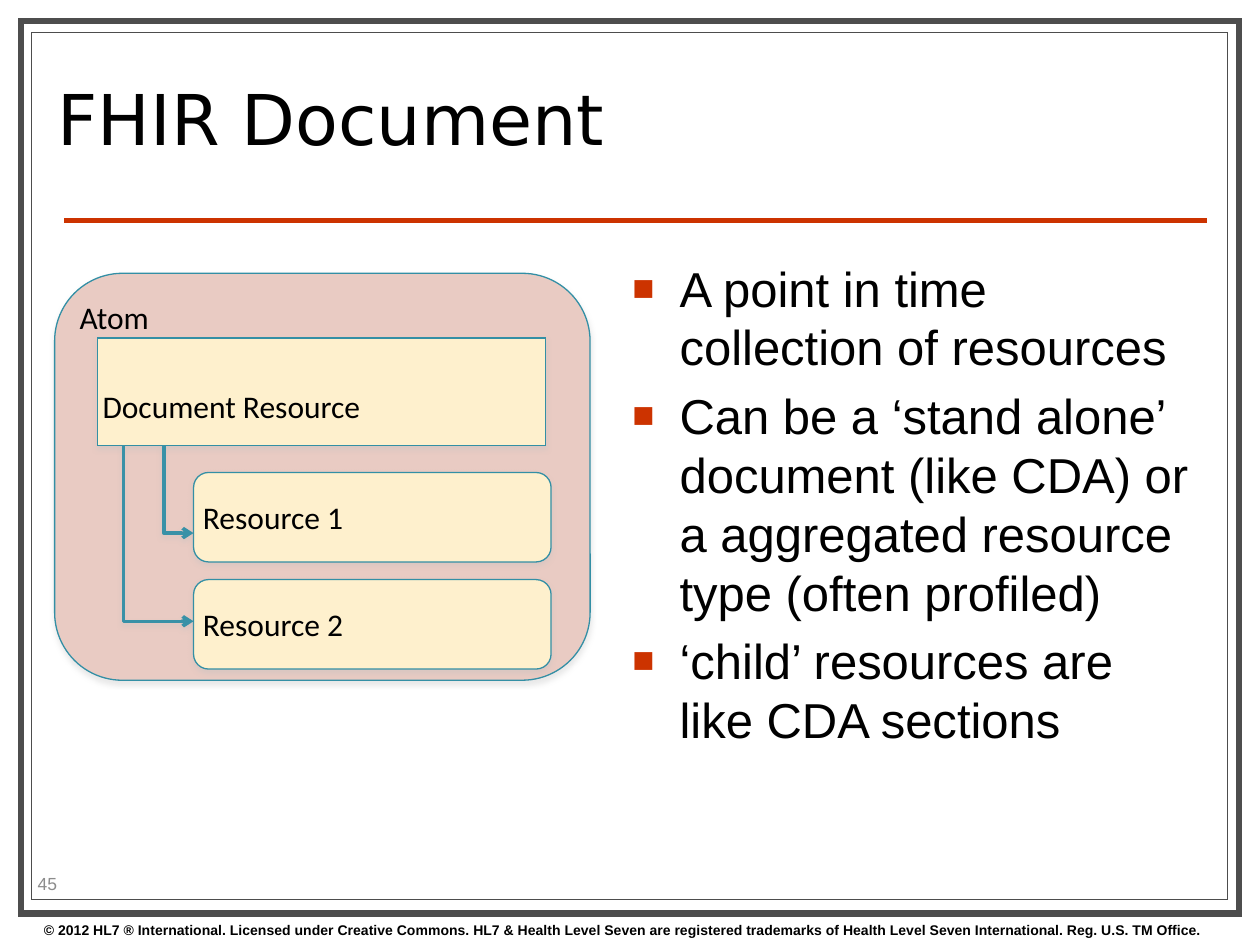
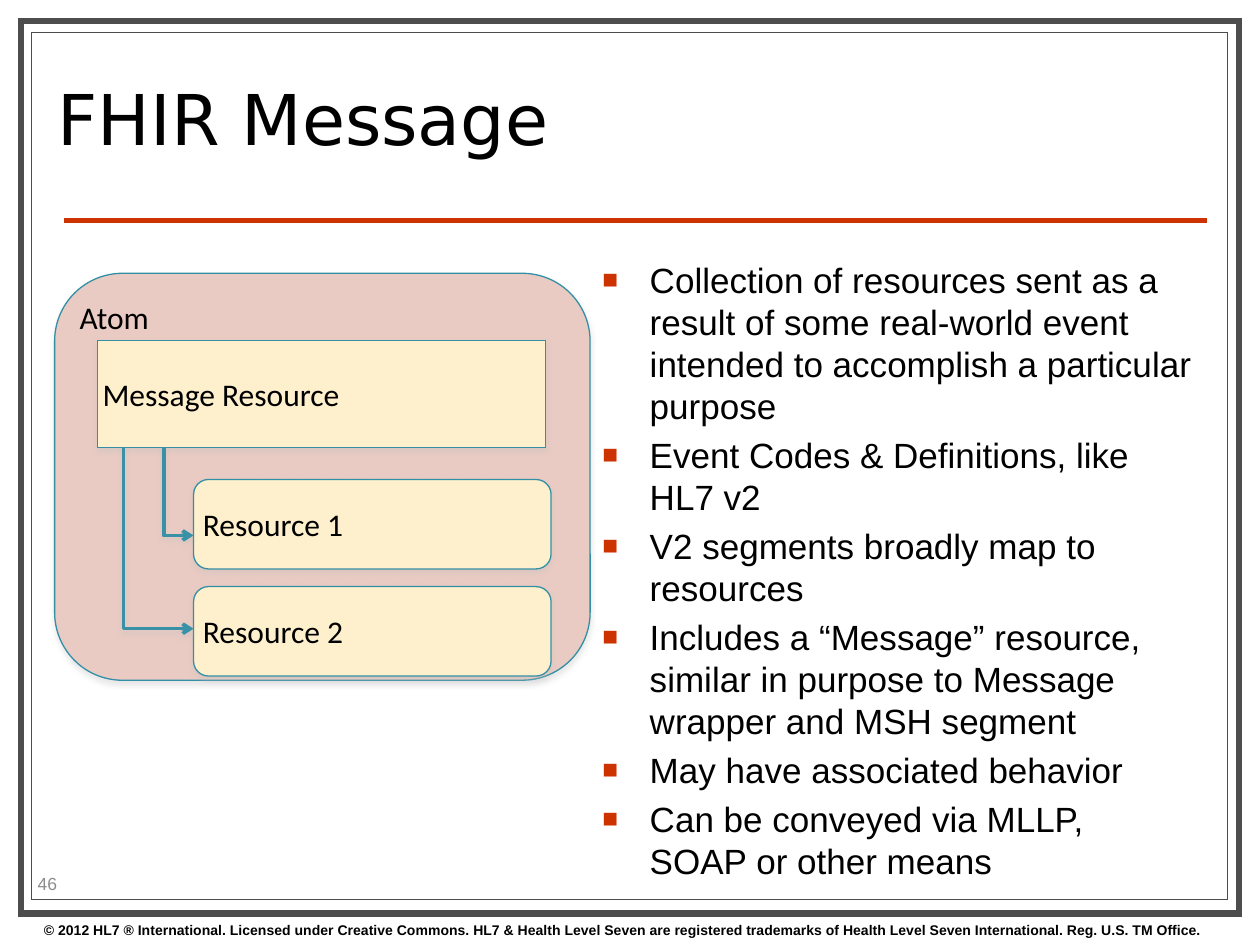
"""Build two slides that explain the FHIR document and message structures."""
from dataclasses import dataclass

from lxml import etree
from pptx import Presentation
from pptx.dml.color import RGBColor
from pptx.enum.shapes import MSO_CONNECTOR, MSO_SHAPE
from pptx.enum.text import MSO_ANCHOR, PP_ALIGN
from pptx.oxml.ns import qn
from pptx.util import Pt

RECT = MSO_SHAPE.RECTANGLE
ROUND = MSO_SHAPE.ROUNDED_RECTANGLE
STRAIGHT = MSO_CONNECTOR.STRAIGHT
TOP, MIDDLE = MSO_ANCHOR.TOP, MSO_ANCHOR.MIDDLE
LEFT = PP_ALIGN.LEFT


@dataclass(frozen=True)
class Theme:
    """Colours, fonts and type sizes."""
    paper: str = "FFFFFF"
    ink: str = "000000"
    frame: str = "4D4D4D"
    accent: str = "CC3300"
    muted: str = "8C8C8C"
    atom: str = "E9CBC3"
    resource: str = "FEF0CD"
    outline: str = "338FA5"
    arrow: str = "3891A7"
    shadow: str = "C0C0C0"
    title_font: str = "DejaVu Sans"
    body_font: str = "Arial"
    label_font: str = "Calibri"
    title_size: float = 40
    label_size: float = 18
    number_size: float = 10
    footer_size: float = 8


@dataclass(frozen=True)
class Box:
    """A place on the slide, in points."""
    left: float
    top: float
    width: float
    height: float

    def emu(self) -> tuple:
        """Return the four lengths for python-pptx."""
        return Pt(self.left), Pt(self.top), Pt(self.width), Pt(self.height)


@dataclass(frozen=True)
class Topic:
    """What differs from slide to slide."""
    title: str
    number: int
    root: str
    root_top: float
    root_inset: float
    child_top: float
    arrow_ends: tuple
    body_left: float
    body_size: float
    points: tuple


T = Theme()
FOOTER = ("© 2012 HL7 ® International. Licensed under Creative Commons. HL7 & Health Level Seven "
          "are registered trademarks of Health Level Seven International. Reg. U.S. TM Office.")
FRAMES = ((Box(12.24, 12.24, 696, 509.76), 3.5), (Box(18, 18.72, 683.28, 495.36), 0.75))
ATOM = Box(31.2, 156.2, 306, 232.56)
ROOT_LEFT, ROOT_WIDTH, ROOT_HEIGHT = 55.7, 256, 61.2
CHILD_LEFT, CHILD_WIDTH, CHILD_HEIGHT, CHILD_PITCH = 110.6, 204.3, 51.12, 61.2
CHILDREN = ("Resource 1", "Resource 2")
ARROW_STARTS = (93.6, 70.6)
BODY_RIGHT, BODY_TOP, BODY_HEIGHT = 690, 144, 352.8
INSET = 2.9
BULLET_INDENT = 27

TOPICS = (
    Topic("FHIR Document", 45, "Document Resource", 193.2, 19, 270, (304.6, 355), 354.24, 28, (
        "A point in time collection of resources",
        "Can be a ‘stand alone’ document (like CDA) or a aggregated resource type (often profiled)",
        "‘child’ resources are like CDA sections",
    )),
    Topic("FHIR Message", 46, "Message Resource", 194.4, INSET, 274, (306, 359.3), 337.2, 20, (
        "Collection of resources sent as a result of some real-world event intended to "
        "accomplish a particular purpose",
        "Event Codes & Definitions, like HL7 v2",
        "V2 segments broadly map to resources",
        "Includes a “Message” resource, similar in purpose to Message wrapper and MSH segment",
        "May have associated behavior",
        "Can be conveyed via MLLP,  SOAP or other means",
    )),
)


def rgb(value: str) -> RGBColor:
    """Turn a hex string into a colour."""
    return RGBColor.from_string(value)


def child(parent, tag: str, **attrs):
    """Append a DrawingML element with attributes."""
    return etree.SubElement(parent, qn(tag), {k: str(v) for k, v in attrs.items()})


def write(p, text: str, *, size: float, font: str = T.body_font, color: str = T.ink,
          bold: bool = False) -> None:
    """Add one formatted run to a paragraph."""
    r = p.add_run()
    r.text = text
    r.font.size, r.font.name, r.font.bold = Pt(size), font, bold
    r.font.color.rgb = rgb(color)


def add_text(s, box: Box, text: str = "", *, anchor=TOP, line_spacing: float = 1, **style):
    """Add a wrapping text box and return its text frame."""
    tf = s.shapes.add_textbox(*box.emu()).text_frame
    tf.word_wrap, tf.vertical_anchor = True, anchor
    if text:
        tf.paragraphs[0].line_spacing = line_spacing
        write(tf.paragraphs[0], text, **style)
    return tf


def set_shadow(sp, opacity: int) -> None:
    """Give a shape a soft shadow straight below it."""
    sp.shadow.inherit = False
    effects = sp._element.spPr.find(qn("a:effectLst"))
    shadow = child(effects, "a:outerShdw", blurRad=Pt(3), dist=Pt(1.8), dir=90 * 60000,
                   algn="ctr", rotWithShape=0)
    child(child(shadow, "a:srgbClr", val=T.shadow), "a:alpha", val=opacity * 1000)


def add_panel(s, box: Box, kind, fill: str, line: str, width: float = 0.75):
    """Add a filled shape with a sharp-cornered outline and no shadow."""
    sp = s.shapes.add_shape(kind, *box.emu())
    sp.shadow.inherit = False
    sp.fill.solid()
    sp.fill.fore_color.rgb = rgb(fill)
    sp.line.color.rgb = rgb(line)
    sp.line.width = Pt(width)
    child(sp.line._get_or_add_ln(), "a:miter", lim=800000)
    return sp


def add_node(s, box: Box, kind, fill: str, text: str, *, anchor=MIDDLE,
             top_inset: float = INSET) -> None:
    """Add a labelled block of the diagram."""
    sp = add_panel(s, box, kind, fill, T.outline)
    set_shadow(sp, 35)
    tf = sp.text_frame
    tf.word_wrap, tf.vertical_anchor = True, anchor
    tf.margin_left = tf.margin_right = tf.margin_bottom = Pt(INSET)
    tf.margin_top = Pt(top_inset)
    p = tf.paragraphs[0]
    p.alignment = LEFT
    write(p, text, size=T.label_size, font=T.label_font)


def add_elbow(s, x: float, top: float, end_y: float) -> None:
    """Draw an arrow down from the root and right to a child."""
    builder = s.shapes.build_freeform(Pt(x), Pt(top))
    builder.add_line_segments([(Pt(x), Pt(end_y)), (Pt(CHILD_LEFT), Pt(end_y))], close=False)
    sp = builder.convert_to_shape()
    sp.fill.background()
    sp.line.color.rgb = rgb(T.arrow)
    sp.line.width = Pt(2)
    child(sp.line._get_or_add_ln(), "a:tailEnd", type="arrow")
    set_shadow(sp, 38)


def add_frame(s, topic: Topic) -> None:
    """Draw the border, rule, footer, title and slide number."""
    for box, width in FRAMES:
        add_panel(s, box, RECT, T.paper, T.frame, width)
    rule = s.shapes.add_connector(STRAIGHT, Pt(36.6), Pt(126), Pt(689.8), Pt(126))
    rule.line.color.rgb = rgb(T.accent)
    rule.line.width = Pt(3)
    child(rule._element.spPr, "a:effectLst")
    add_text(s, Box(18, 523.3, 720, 16.7), FOOTER, size=T.footer_size, bold=True)
    add_text(s, Box(25.9, 26.4, 516.24, 90.72), topic.title, anchor=MIDDLE, line_spacing=0.8,
             size=T.title_size, font=T.title_font)
    add_text(s, Box(14.4, 496.1, 56.9, 17.3), str(topic.number), anchor=MIDDLE,
             size=T.number_size, color=T.muted)


def add_points(s, topic: Topic) -> None:
    """Write the bulleted list on the right."""
    box = Box(topic.body_left, BODY_TOP, BODY_RIGHT - topic.body_left, BODY_HEIGHT)
    tf = add_text(s, box)
    for i, text in enumerate(topic.points):
        p = tf.add_paragraph() if i else tf.paragraphs[0]
        p.line_spacing = 1.0
        p.space_before = Pt(0.2 * topic.body_size if i else 0)
        pPr = p._p.get_or_add_pPr()
        pPr.set("marL", str(Pt(BULLET_INDENT)))
        pPr.set("indent", str(-Pt(BULLET_INDENT)))
        child(child(pPr, "a:buClr"), "a:srgbClr", val=T.accent)
        child(pPr, "a:buSzPct", val=75000)
        child(pPr, "a:buFont", typeface=T.body_font)
        child(pPr, "a:buChar", char="■")
        write(p, text, size=topic.body_size)


def add_diagram(s, topic: Topic) -> None:
    """Draw the atom with its root resource and children."""
    add_node(s, ATOM, ROUND, T.atom, "Atom", anchor=TOP)
    for i, name in enumerate(CHILDREN):
        top = topic.child_top + i * CHILD_PITCH
        add_node(s, Box(CHILD_LEFT, top, CHILD_WIDTH, CHILD_HEIGHT), ROUND, T.resource, name)
    root = Box(ROOT_LEFT, topic.root_top, ROOT_WIDTH, ROOT_HEIGHT)
    add_node(s, root, RECT, T.resource, topic.root, top_inset=topic.root_inset)
    for x, end_y in zip(ARROW_STARTS, topic.arrow_ends):
        add_elbow(s, x, root.top + root.height, end_y)


def main() -> None:
    """Build and save the slides."""
    prs = Presentation()
    prs.slide_width, prs.slide_height = Pt(720), Pt(540)
    for topic in TOPICS:
        s = prs.slides.add_slide(prs.slide_layouts[6])
        add_frame(s, topic)
        add_points(s, topic)
        add_diagram(s, topic)
    prs.save("out.pptx")


if __name__ == "__main__":
    main()
